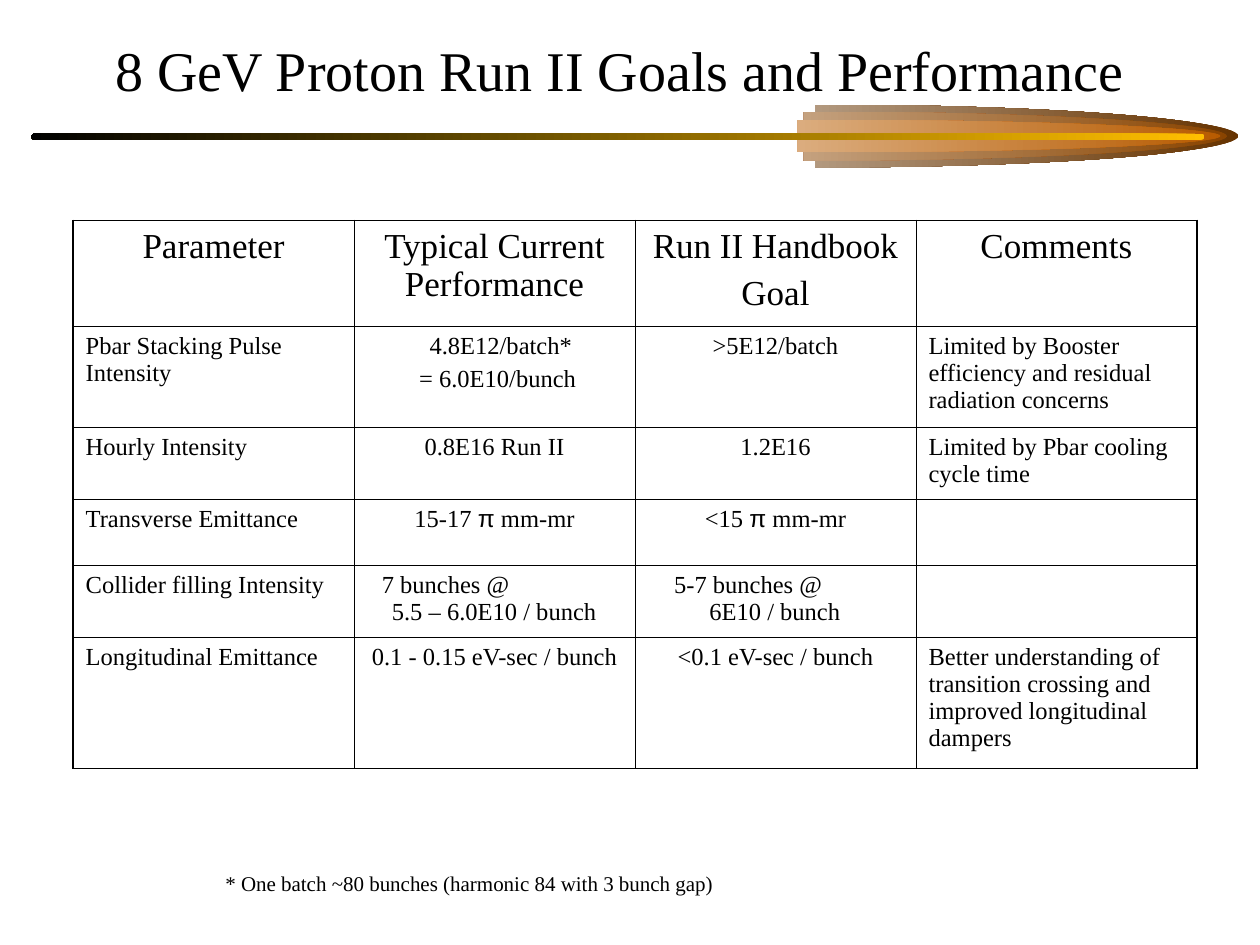
from dataclasses import dataclass

from lxml import etree
from pptx import Presentation
from pptx.dml.color import RGBColor
from pptx.enum import shapes, text
from pptx.oxml import ns
from pptx.util import Inches, Pt

COLOURS = {
    "ink": "000000",
    "white": "FFFFFF",
    "brown": "663300",
    "rust": "894400",
    "orange": "B75B00",
    "gold": "FFBF00",
}
FONT = "Times New Roman"
LEFT, CENTER = text.PP_ALIGN.LEFT, text.PP_ALIGN.CENTER
OUTER_BORDER, INNER_BORDER = 1.08, 0.45
AXIS_Y = 1.08


@dataclass
class Flame:
    left: float
    height: float
    colour: str


@dataclass
class Line:
    text: str
    align: text.PP_ALIGN = CENTER
    margin: float = 0
    first_indent: float = 0
    space_before: float = 0


FLAMES = [
    Flame(3.11, 0.5, "brown"),
    Flame(3.02, 0.39, "rust"),
    Flame(2.97, 0.26, "orange"),
]
FLAME_WIDTH = 6.73
# The flame fills the right half of its box: x in inches, y as a share of the height
FLAME_PATH = [
    ("moveTo", [(3.36, 0)]),
    ("cubicBezTo", [(4.56, 0), (5.67, 0.1), (6.27, 0.26)]),
    ("cubicBezTo", [(6.87, 0.42), (6.87, 0.58), (6.27, 0.74)]),
    ("cubicBezTo", [(5.67, 0.9), (4.56, 1), (3.36, 1)]),
    ("lnTo", [(3.36, 0.5)]),
    ("close", []),
]

COLUMN_WIDTH = 2.23
ROW_HEIGHTS = [0.84, 0.8, 0.57, 0.53, 0.57, 1.04]
ROWS = [
    ["Parameter", "Typical Current Performance",
     [Line("Run II Handbook"), Line("Goal", space_before=5)], "Comments"],
    ["Pbar Stacking Pulse Intensity",
     [Line("4.8E12/batch*", margin=0.1),
      Line("= 6.0E10/bunch", margin=0.05, space_before=3.5)],
     ">5E12/batch",
     "Limited by Booster efficiency and residual radiation concerns"],
    ["Hourly Intensity", "0.8E16 Run II", "1.2E16",
     "Limited by Pbar cooling cycle time"],
    ["Transverse Emittance", "15-17 π mm-mr", "<15 π mm-mr", ""],
    ["Collider filling Intensity",
     [Line("7 bunches @\n5.5 – 6.0E10 / bunch", LEFT, 0.2, -0.08)],
     [Line("5-7 bunches @\n6E10 / bunch", LEFT, 0.49, -0.28)], ""],
    ["Longitudinal Emittance", "0.1 - 0.15 eV-sec / bunch", "<0.1 eV-sec / bunch",
     "Better understanding of transition crossing and improved longitudinal dampers"],
]


def colour(name: str) -> RGBColor:
    return RGBColor.from_string(COLOURS[name])


def set_gradient(shape, start: str, end: str) -> None:
    """Fill from right to left, without outline or shadow."""
    shape.shadow.inherit = False
    shape.line.fill.background()
    shape.fill.gradient()
    shape.fill.gradient_angle = 180
    for stop, name in zip(shape.fill.gradient_stops, (start, end)):
        stop.color.rgb = colour(name)


def add_flame(slide, flame: Flame) -> None:
    """Build the box of the flame, then give its outline curved segments."""
    left, top = Inches(flame.left), Inches(AXIS_Y - flame.height / 2)
    width, height = Inches(FLAME_WIDTH), Inches(flame.height)
    builder = slide.shapes.build_freeform(left, top)
    builder.add_line_segments([(left + width, top), (left + width, top + height),
                               (left, top + height)])
    shape = builder.convert_to_shape()
    outline = next(shape._element.iter(ns.qn("a:path")))
    for segment in list(outline):
        outline.remove(segment)
    for command, points in FLAME_PATH:
        segment = etree.SubElement(outline, ns.qn(f"a:{command}"))
        for x, y in points:
            etree.SubElement(segment, ns.qn("a:pt"), x=str(Inches(x)),
                             y=str(Inches(y * flame.height)))
    set_gradient(shape, flame.colour, "white")


def add_bar(slide) -> None:
    bar = slide.shapes.add_shape(shapes.MSO_SHAPE.ROUNDED_RECTANGLE, Inches(0.25),
                                 Inches(1.06), Inches(9.31), Inches(0.05))
    bar.adjustments[0] = 0.5
    set_gradient(bar, "gold", "ink")


def write_line(paragraph, line: Line, size: float) -> None:
    """Write one paragraph, with line breaks kept and any π in Arial."""
    paragraph.alignment = line.align
    if line.space_before:
        paragraph.space_before = Pt(line.space_before)
    properties = paragraph._p.get_or_add_pPr()
    for name, length in (("marL", line.margin), ("indent", line.first_indent)):
        if length:
            properties.set(name, str(Inches(length)))
    paragraph.font.size = Pt(size)
    paragraph.font.name = FONT
    paragraph.font.color.rgb = colour("ink")
    for i, row in enumerate(line.text.split("\n")):
        if i:
            paragraph.add_line_break()
        for part in filter(None, row.partition("π")):
            run = paragraph.add_run()
            run.text = part
            if part == "π":
                run.font.name = "Arial"


def add_text(slide, line: Line, size: float, left: float, top: float,
             width: float, height: float, anchor=text.MSO_ANCHOR.TOP) -> None:
    box = slide.shapes.add_textbox(Inches(left), Inches(top), Inches(width), Inches(height))
    frame = box.text_frame
    frame.word_wrap = True
    frame.vertical_anchor = anchor
    write_line(frame.paragraphs[0], line, size)


def set_borders(cell, widths: dict[str, float]) -> None:
    properties = cell._tc.get_or_add_tcPr()
    for position, (side, width) in enumerate(widths.items()):
        border = etree.Element(ns.qn(f"a:{side}"), w=str(Pt(width)))
        fill = etree.SubElement(border, ns.qn("a:solidFill"))
        etree.SubElement(fill, ns.qn("a:srgbClr"), val=COLOURS["ink"])
        properties.insert(position, border)


def add_goals_table(slide) -> None:
    last_row, last_column = len(ROWS) - 1, len(ROWS[0]) - 1
    table = slide.shapes.add_table(
        len(ROWS), len(ROWS[0]), Inches(0.58), Inches(1.75),
        Inches(COLUMN_WIDTH * len(ROWS[0])), Inches(sum(ROW_HEIGHTS))).table
    table.first_row = table.horz_banding = False
    for column in table.columns:
        column.width = Inches(COLUMN_WIDTH)
    for r, (height, contents) in enumerate(zip(ROW_HEIGHTS, ROWS)):
        table.rows[r].height = Inches(height)
        for c, content in enumerate(contents):
            cell = table.cell(r, c)
            cell.fill.background()
            on_edge = {"lnL": c == 0, "lnR": c == last_column,
                       "lnT": r == 0, "lnB": r == last_row}
            set_borders(cell, {side: OUTER_BORDER if edge else INNER_BORDER
                               for side, edge in on_edge.items()})
            if isinstance(content, str):
                align = LEFT if r > 0 and c in (0, last_column) else CENTER
                content = [Line(content, align)]
            frame = cell.text_frame
            for i, line in enumerate(content):
                paragraph = frame.add_paragraph() if i else frame.paragraphs[0]
                write_line(paragraph, line, 20 if r == 0 else 14)


def main() -> None:
    presentation = Presentation()
    presentation.slide_width, presentation.slide_height = Inches(10), Inches(7.5)
    slide = presentation.slides.add_slide(presentation.slide_layouts[6])
    for flame in FLAMES:
        add_flame(slide, flame)
    add_bar(slide)
    add_text(slide, Line("8 GeV Proton Run II Goals and Performance"), 32,
             0.67, 0.17, 8.5, 0.75, text.MSO_ANCHOR.MIDDLE)
    add_goals_table(slide)
    add_text(slide, Line("* One batch ~80 bunches (harmonic 84 with 3 bunch gap)", LEFT),
             12, 1.69, 6.86, 4.64, 0.3)
    presentation.save("out.pptx")


if __name__ == "__main__":
    main()
